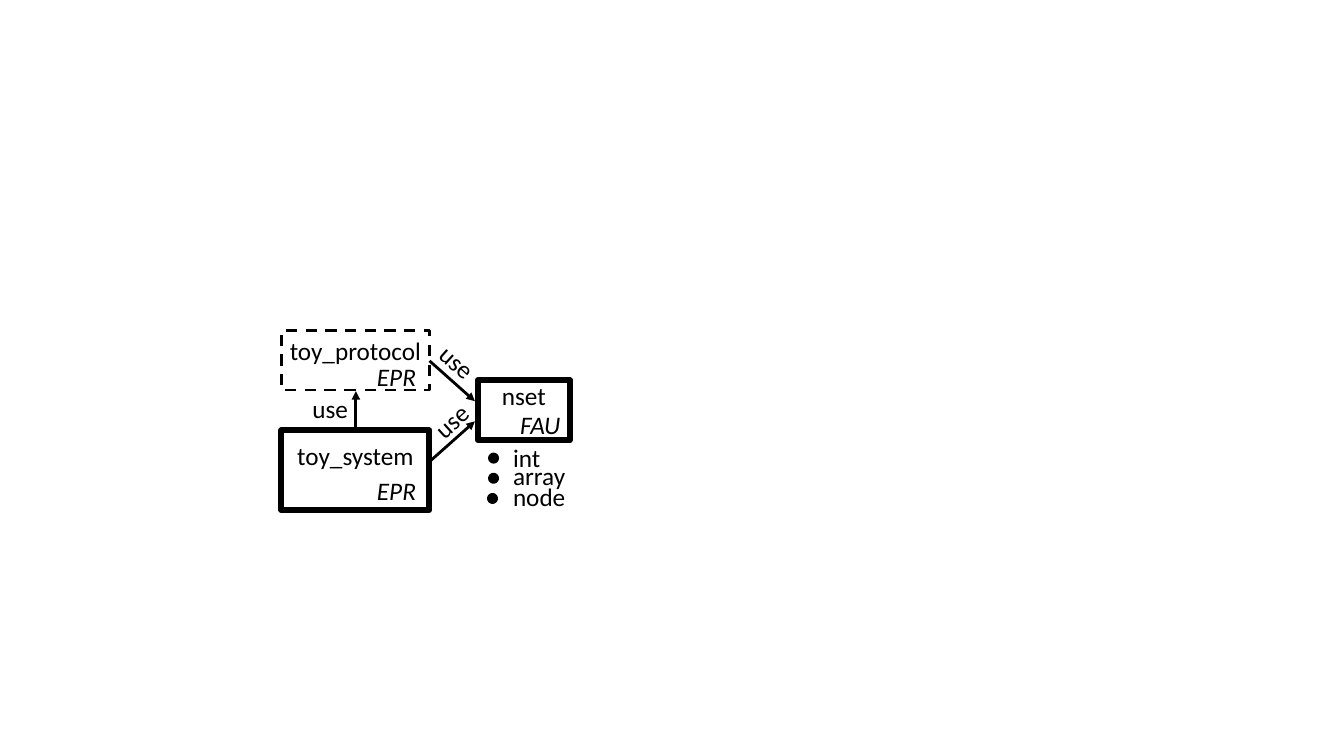
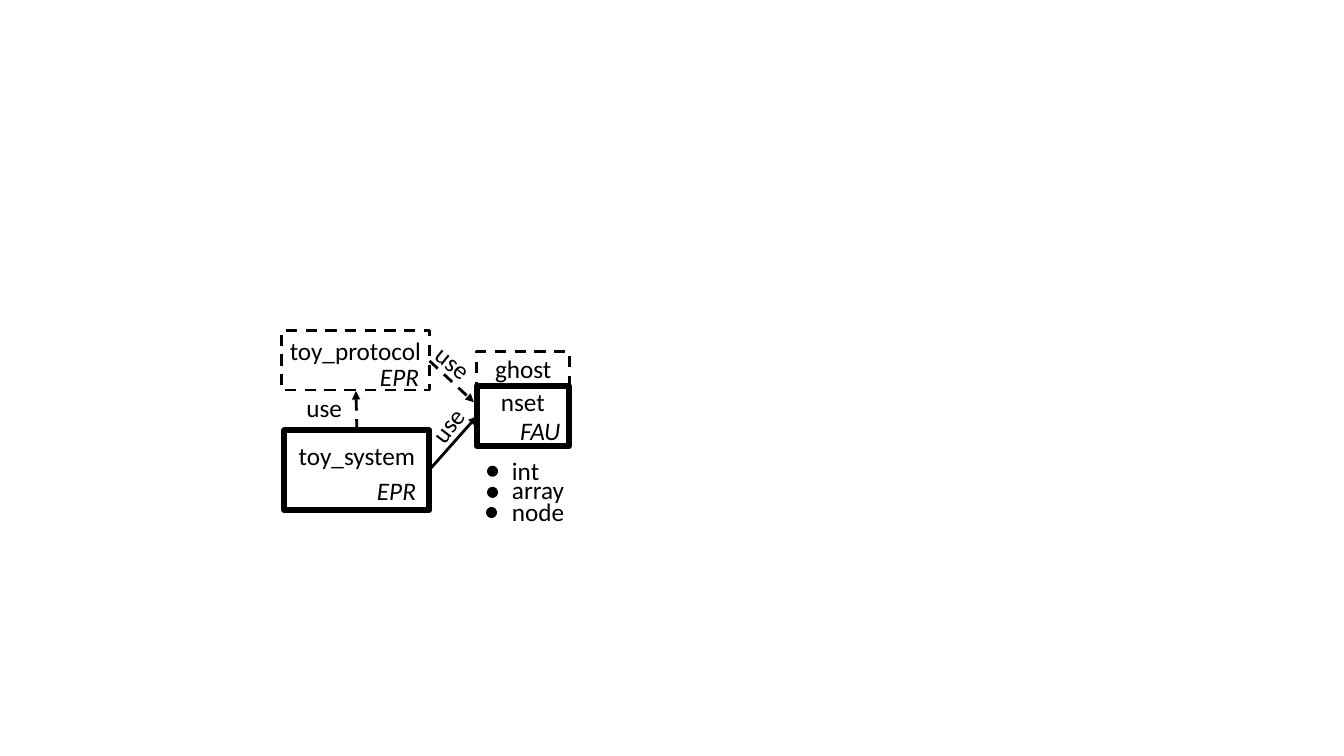
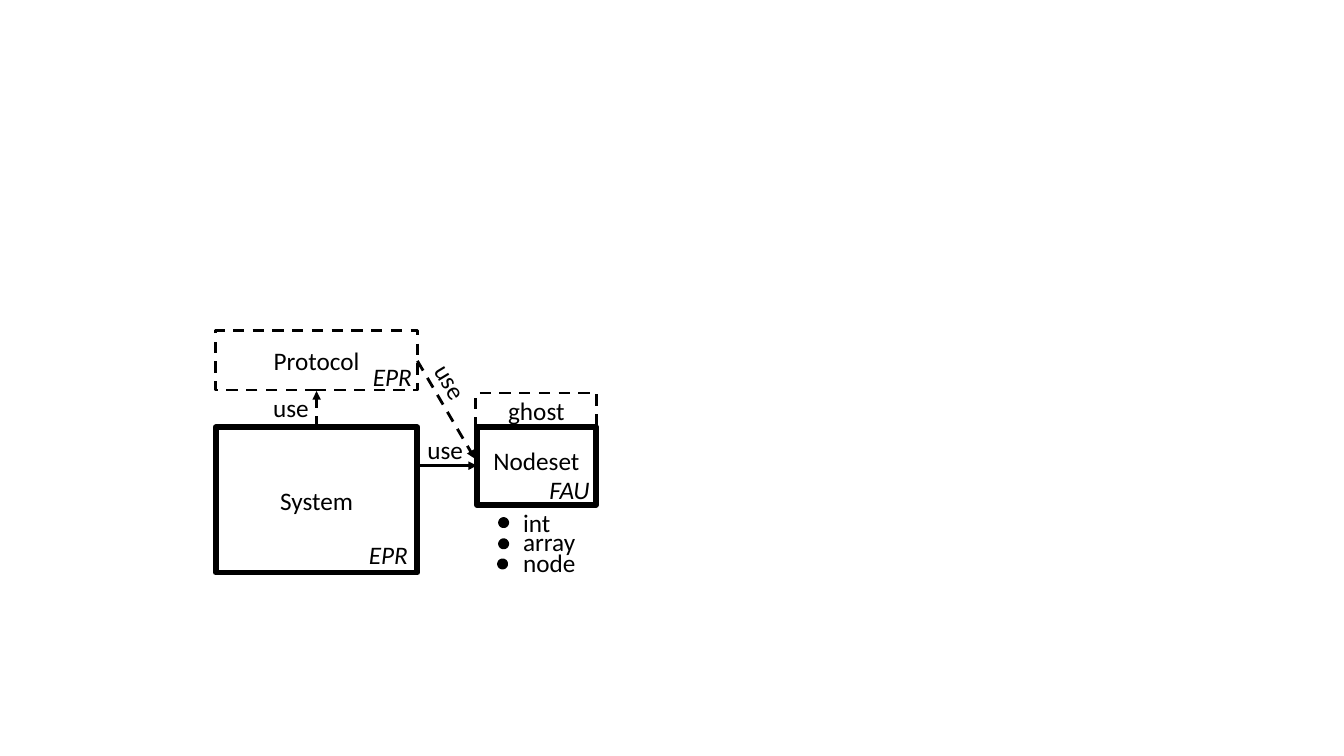
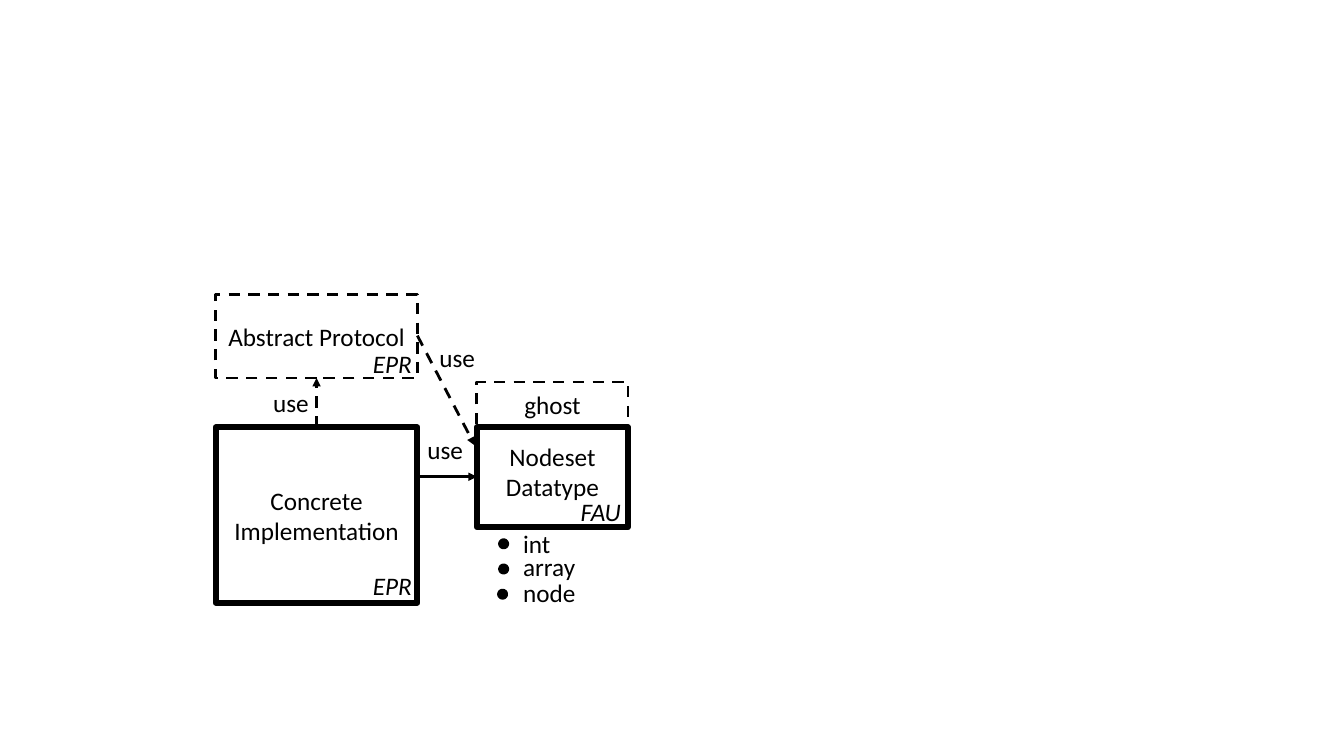
"""Builds four slides of module dependency diagrams."""
from pptx import Presentation
from pptx.dml.color import RGBColor
from pptx.enum.dml import MSO_LINE
from pptx.enum.shapes import MSO_CONNECTOR, MSO_SHAPE
from pptx.enum.text import MSO_ANCHOR, PP_ALIGN
from pptx.oxml.ns import qn
from pptx.util import Inches, Pt
from lxml.etree import SubElement

INK = "000000"
FONT = "Calibri"
THIN, THICK = 2, 4.25
TOP, MIDDLE = MSO_ANCHOR.TOP, MSO_ANCHOR.MIDDLE
DOT_SIZE = 0.05
ITEMS = [("int", -0.12, 0.18), ("array", -0.12, 0.2), ("node", -0.13, 0.19)]
hex_color = RGBColor.from_string


def write(frame, text, size=18, color=INK, italic=False, align=PP_ALIGN.LEFT,
          anchor=TOP, insets=(0.1, 0.05, 0.1, 0.05)):
    """Put formatted text into a frame; insets run left, top, right, bottom."""
    frame.word_wrap = True
    frame.vertical_anchor = anchor
    (frame.margin_left, frame.margin_top,
     frame.margin_right, frame.margin_bottom) = map(Inches, insets)
    paragraph = frame.paragraphs[0]
    paragraph.alignment = align
    run = paragraph.add_run()
    run.text = text
    run.font.name = FONT
    run.font.size = Pt(size)
    run.font.italic = italic
    run.font.color.rgb = hex_color(color)


def stroke(line, width, dashed=False, color=INK):
    """Style an outline or a connector line."""
    line.color.rgb = hex_color(color)
    line.width = Pt(width)
    if dashed:
        line.dash_style = MSO_LINE.DASH


diagrams = [
    {
        "boxes": [
            ("toy_system", 2.79, 4.27, 1.47, 0.79, False, TOP, 0.1, 0),
            ("toy_protocol", 2.79, 3.28, 1.47, 0.59, True, TOP, 0.05, 0),
            ("nset", 4.74, 3.77, 0.91, 0.6, False, TOP, 0, 0.12),
        ],
        "arrows": [
            (3.53, 4.27, 3.53, 3.88, False),
            (4.26, 3.58, 4.71, 3.98, False),
            (4.26, 4.58, 4.71, 4.18, False),
        ],
        "uses": [(3, 3.85, 0.7, 0), (4.17, 3.9, 0.78, 318), (4.23, 3.47, 0.79, 42)],
        "logics": [("EPR", 3.64, 3.54), ("EPR", 3.64, 4.67), ("FAU", 5.06, 4.01)],
        "items": (4.99, [4.34, 4.52, 4.73]),
    },
    {
        "boxes": [
            ("nset", 4.73, 3.83, 0.91, 0.6, False, TOP, 0, 0.12),
            ("toy_system", 2.82, 4.27, 1.44, 0.79, False, TOP, 0.1, 0),
            ("toy_protocol", 2.79, 3.28, 1.47, 0.59, True, TOP, 0.05, 0),
            ("ghost", 4.73, 3.49, 0.92, 0.34, True, MIDDLE, 0, 0),
        ],
        "arrows": [
            (3.54, 4.27, 3.53, 3.88, True),
            (4.26, 4.66, 4.73, 4.13, False),
            (4.26, 3.58, 4.7, 3.99, True),
        ],
        "uses": [(2.94, 3.84, 1.82, 0), (4.11, 3.91, 0.82, 307.2), (4.19, 3.48, 0.82, 39.1)],
        "logics": [("EPR", 3.67, 3.54), ("EPR", 3.64, 4.67), ("FAU", 5.06, 4.07)],
        "items": (4.98, [4.47, 4.66, 4.87]),
    },
    {
        "boxes": [
            ("Nodeset", 4.73, 4.24, 1.18, 0.77, False, MIDDLE, 0, 0.12),
            ("System", 2.14, 4.24, 2, 1.44, False, MIDDLE, 0, 0),
            ("Protocol", 2.14, 3.28, 2, 0.59, True, MIDDLE, 0, 0),
            ("ghost", 4.72, 3.9, 1.2, 0.34, True, MIDDLE, 0, 0),
        ],
        "arrows": [
            (3.14, 4.24, 3.14, 3.88, True),
            (4.14, 4.62, 4.73, 4.62, False),
            (4.14, 3.58, 4.71, 4.55, True),
        ],
        "uses": [(2.61, 3.84, 1.82, 0), (4.14, 4.26, 0.82, 0), (4.13, 3.7, 0.82, 59)],
        "logics": [("EPR", 3.6, 3.54), ("EPR", 3.56, 5.3), ("FAU", 5.35, 4.66)],
        "items": (5.09, [4.98, 5.17, 5.38]),
    },
    {
        "boxes": [
            ("Nodeset Datatype", 4.73, 4.24, 1.5, 0.99, False, MIDDLE, 0, 0.12),
            ("Concrete Implementation", 2.14, 4.24, 2, 1.74, False, MIDDLE, 0, 0),
            ("Abstract Protocol", 2.14, 2.92, 2, 0.83, True, MIDDLE, 0, 0),
            ("ghost", 4.73, 3.79, 1.5, 0.45, True, MIDDLE, 0, 0),
        ],
        "arrows": [
            (3.14, 4.24, 3.14, 3.75, True),
            (4.14, 4.73, 4.73, 4.73, False),
            (4.14, 3.33, 4.71, 4.42, True),
        ],
        "uses": [(2.61, 3.79, 1.82, 0), (4.14, 4.26, 0.82, 0), (4.26, 3.35, 0.82, 0)],
        "logics": [("EPR", 3.6, 3.41), ("EPR", 3.6, 5.61), ("FAU", 5.66, 4.87)],
        "items": (5.09, [5.19, 5.42, 5.68]),
    },
]

deck = Presentation()
deck.slide_width, deck.slide_height = Inches(13.33), Inches(7.5)

for diagram in diagrams:
    shapes = deck.slides.add_slide(deck.slide_layouts[6]).shapes

    for name, left, top, width, height, dashed, anchor, above, below in diagram["boxes"]:
        module = shapes.add_shape(MSO_SHAPE.RECTANGLE, Inches(left), Inches(top),
                                  Inches(width), Inches(height))
        module.shadow.inherit = False
        module.fill.background()
        stroke(module.line, THIN if dashed else THICK, dashed)
        write(module.text_frame, name, align=PP_ALIGN.CENTER, anchor=anchor,
              insets=(0, above, 0, below))

    for x1, y1, x2, y2, dashed in diagram["arrows"]:
        arrow = shapes.add_connector(MSO_CONNECTOR.STRAIGHT, Inches(x1), Inches(y1),
                                     Inches(x2), Inches(y2))
        stroke(arrow.line, THIN, dashed)
        SubElement(arrow.line._get_or_add_ln(), qn("a:tailEnd"), type="triangle")
        SubElement(arrow._element.spPr, qn("a:effectLst"))

    items_left, item_tops = diagram["items"]
    for (item, dot_dx, dot_dy), top in zip(ITEMS, item_tops):
        dot = shapes.add_shape(MSO_SHAPE.FLOWCHART_CONNECTOR, Inches(items_left + dot_dx),
                               Inches(top + dot_dy), Inches(DOT_SIZE), Inches(DOT_SIZE))
        dot.shadow.inherit = False
        dot.fill.background()
        stroke(dot.line, THICK)

    labels = [("use", left, top, width, turn, False)
              for left, top, width, turn in diagram["uses"]]
    labels += [(logic, left, top, 0.79, 0, True) for logic, left, top in diagram["logics"]]
    labels += [(item[0], items_left, top, 1.14, 0, False)
               for item, top in zip(ITEMS, item_tops)]
    for text, left, top, width, turn, italic in labels:
        label = shapes.add_textbox(Inches(left), Inches(top), Inches(width), Inches(0.4))
        label.rotation = turn
        write(label.text_frame, text, italic=italic)

deck.save("out.pptx")
